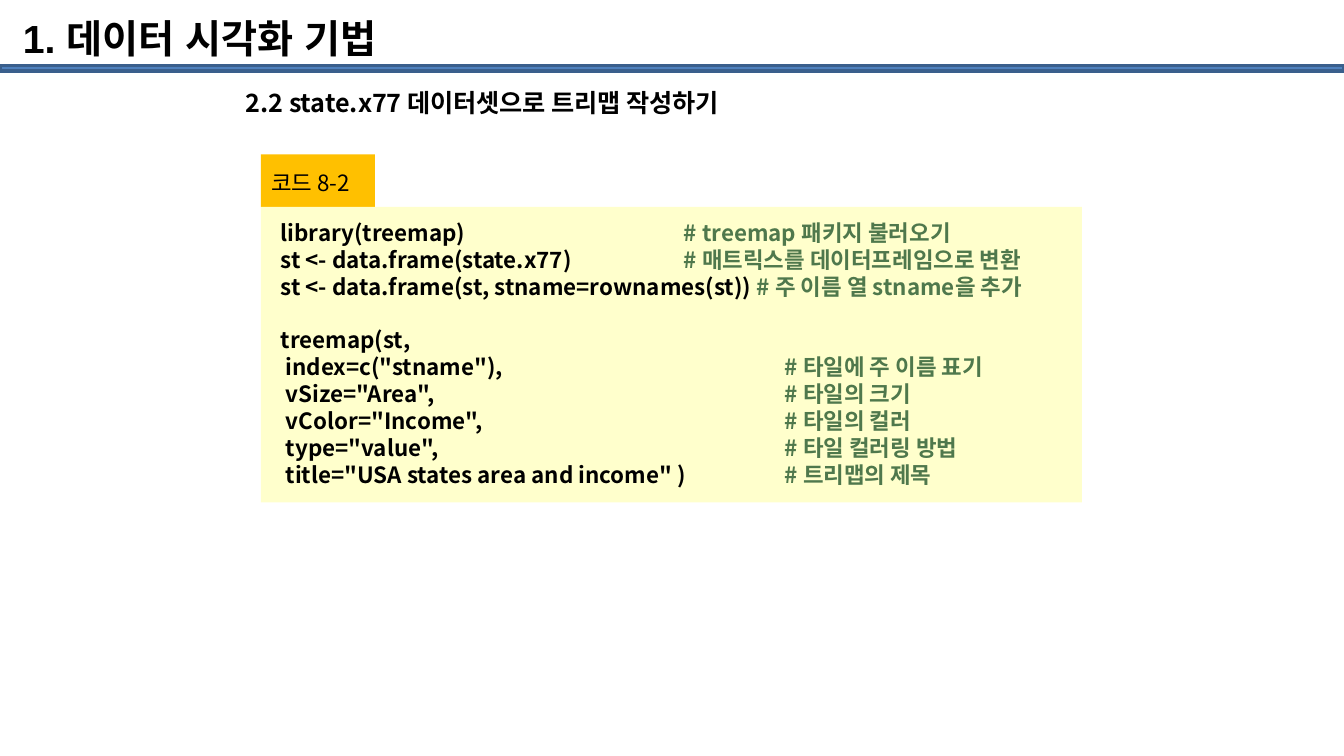
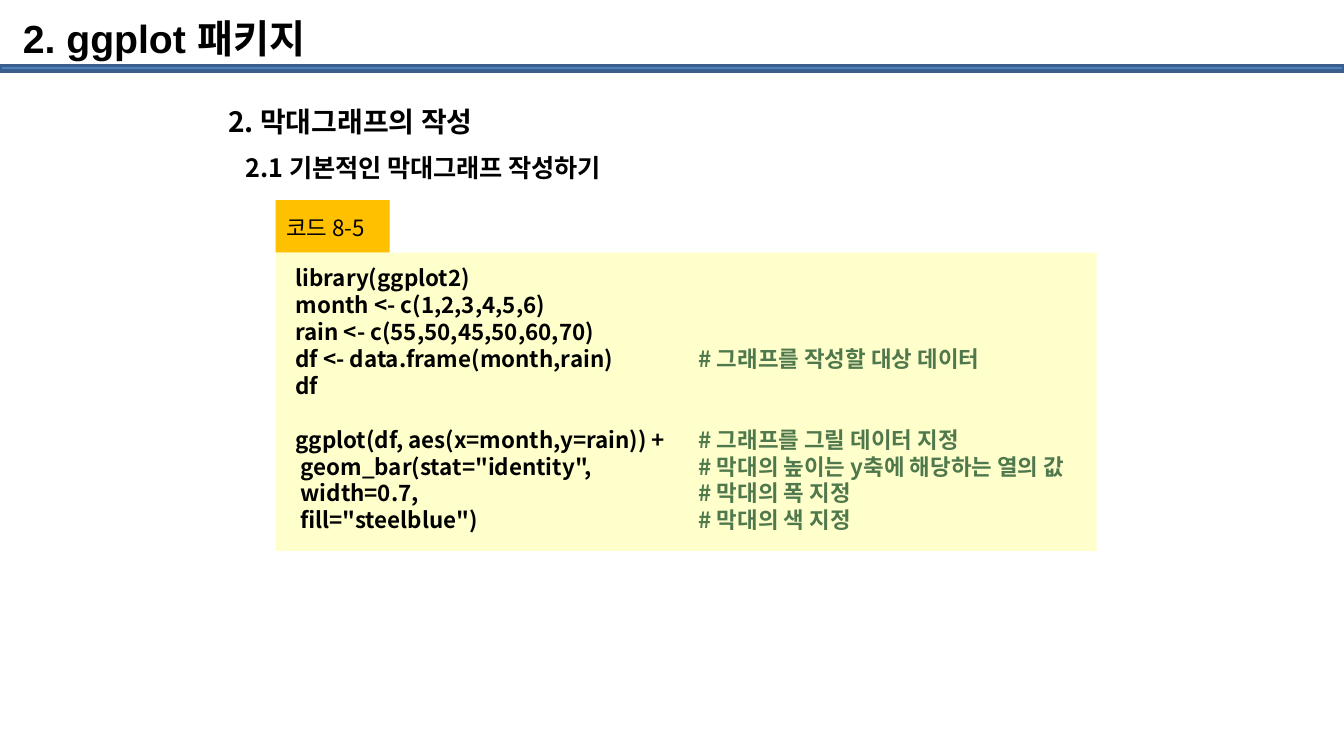
import pptx
import pptx.dml.color
import pptx.enum.shapes
import pptx.oxml.ns
import pptx.util
from lxml import etree

BLACK = pptx.dml.color.RGBColor(0x00, 0x00, 0x00)
BLUE = pptx.dml.color.RGBColor(0x4F, 0x81, 0xBD)
NAVY = pptx.dml.color.RGBColor(0x3A, 0x5F, 0x8C)
AMBER = pptx.dml.color.RGBColor(0xFF, 0xC0, 0x00)
CREAM = pptx.dml.color.RGBColor(0xFF, 0xFF, 0xCC)
GREEN = pptx.dml.color.RGBColor(0x4F, 0x78, 0x4C)
SANS = "Noto Sans CJK KR"
LINE = 1.2

prs = pptx.Presentation()
prs.slide_width = pptx.util.Inches(10)
prs.slide_height = prs.slide_width * 9 // 16
COL = prs.slide_width / 100
ROW = prs.slide_height / 100

SLIDES = [
    {
        "title": "1. 데이터 시각화 기법",
        "heads": [("2.2 state.x77 데이터셋으로 트리맵 작성하기", 13.5, 1, 0.13)],
        "label": "코드 8-2", "left": 19.4, "top": 20.44,
        "code_h": 39.11, "text_w": 64.1, "text_h": 37.69,
        "blocks": [
            (3, [
                ("library(treemap)\t", "# treemap 패키지 불러오기"),
                ("st <- data.frame(state.x77)\t", "# 매트릭스를 데이터프레임으로 변환"),
                ("st <- data.frame(st, stname=rownames(st)) ", "# 주 이름 열 stname을 추가"),
            ]),
            (3.75, [
                ("treemap(st,", ""),
                (" index=c(\"stname\"),\t", "# 타일에 주 이름 표기"),
                (" vSize=\"Area\",\t", "# 타일의 크기"),
                (" vColor=\"Income\",\t", "# 타일의 컬러"),
                (" type=\"value\",\t", "# 타일 컬러링 방법"),
                (" title=\"USA states area and income\" )\t", "# 트리맵의 제목"),
            ]),
        ],
    },
    {
        "title": "2. ggplot 패키지",
        "heads": [("2. 막대그래프의 작성", 15, 1.5, 0),
                  ("2.1 기본적인 막대그래프 작성하기", 13.5, 1.5, 0.13)],
        "label": "코드 8-5", "left": 20.5, "top": 26.49,
        "code_h": 39.47, "text_w": 72.8, "text_h": 41.24,
        "blocks": [
            (3, [
                ("library(ggplot2)", ""),
                ("month <- c(1,2,3,4,5,6)", ""),
                ("rain <- c(55,50,45,50,60,70)", ""),
                ("df <- data.frame(month,rain)\t", "# 그래프를 작성할 대상 데이터"),
                ("df", ""),
            ]),
            (3, [
                ("ggplot(df, aes(x=month,y=rain)) +\t", "# 그래프를 그릴 데이터 지정"),
                (" geom_bar(stat=\"identity\",\t", "# 막대의 높이는 y축에 해당하는 열의 값"),
                (" width=0.7,\t", "# 막대의 폭 지정"),
                (" fill=\"steelblue\")\t", "# 막대의 색 지정"),
            ]),
        ],
    },
]


def add_box(s, x, y, w, h, fill=None):
    at = [int(v) for v in (x * COL, y * ROW, w * COL, h * ROW)]
    if fill is None:
        sp = s.shapes.add_textbox(*at)
        sp.text_frame.word_wrap = True
        return sp
    sp = s.shapes.add_shape(pptx.enum.shapes.MSO_SHAPE.RECTANGLE, *at)
    sp.shadow.inherit = False
    sp.fill.solid()
    sp.fill.fore_color.rgb = fill
    sp.line.fill.background()
    return sp


def add_run(p, text, size, color=BLACK, bold=True, font=SANS):
    r = p.add_run()
    r.text = text
    r.font.size = pptx.util.Pt(size)
    r.font.bold = bold
    r.font.name = font
    r.font.color.rgb = color
    ea = etree.SubElement(r.font._element, pptx.oxml.ns.qn("a:ea"))
    ea.set("typeface", font)


for d in SLIDES:
    s = prs.slides.add_slide(prs.slide_layouts[6])

    band = add_box(s, 0, 8.65, 100, 0.71, BLUE)
    band.line.color.rgb = NAVY
    band.line.width = pptx.util.Pt(2)

    tf = add_box(s, 16, 10.67, 70.1, 82.67).text_frame
    for i, (text, size, spacing, indent) in enumerate(d["heads"]):
        p = tf.add_paragraph() if i else tf.paragraphs[0]
        p.line_spacing = pptx.util.Pt(size * LINE * spacing)
        p._p.get_or_add_pPr().set("marL", str(pptx.util.Inches(indent)))
        add_run(p, text, size)

    left, top = d["left"], d["top"]
    code_top = top + 6.93
    add_box(s, left, top, 8.5, 6.93, AMBER)
    add_box(s, left, code_top, 61.1, d["code_h"], CREAM)

    tf = add_box(s, left - 0.2, top + 1, 8.5, 5.33).text_frame
    tf.word_wrap = False
    p = tf.paragraphs[0]
    p.line_spacing = pptx.util.Pt(12 * LINE)
    add_run(p, d["label"], 12, bold=False)

    tf = add_box(s, left + 0.5, code_top + 0.71, d["text_w"], d["text_h"]).text_frame
    for b, (stop, rows) in enumerate(d["blocks"]):
        for i, (code, comment) in enumerate(rows):
            p = tf.add_paragraph() if b or i else tf.paragraphs[0]
            p.line_spacing = pptx.util.Pt(12 * LINE)
            p.space_before = pptx.util.Pt(12 * LINE if b and not i else 0)
            tabs = etree.SubElement(p._p.get_or_add_pPr(), pptx.oxml.ns.qn("a:tabLst"))
            tab = etree.SubElement(tabs, pptx.oxml.ns.qn("a:tab"))
            tab.set("pos", str(pptx.util.Inches(stop)))
            tab.set("algn", "l")
            add_run(p, code, 12)
            if comment:
                add_run(p, comment, 12, GREEN)

    tf = add_box(s, 1, 1.24, 86.2, 9.96).text_frame
    tf.margin_left = tf.margin_right = pptx.util.Inches(0.07)
    tf.margin_top = tf.margin_bottom = pptx.util.Inches(0.04)
    add_run(tf.paragraphs[0], d["title"], 21, font="Arial")

prs.save("out.pptx")
